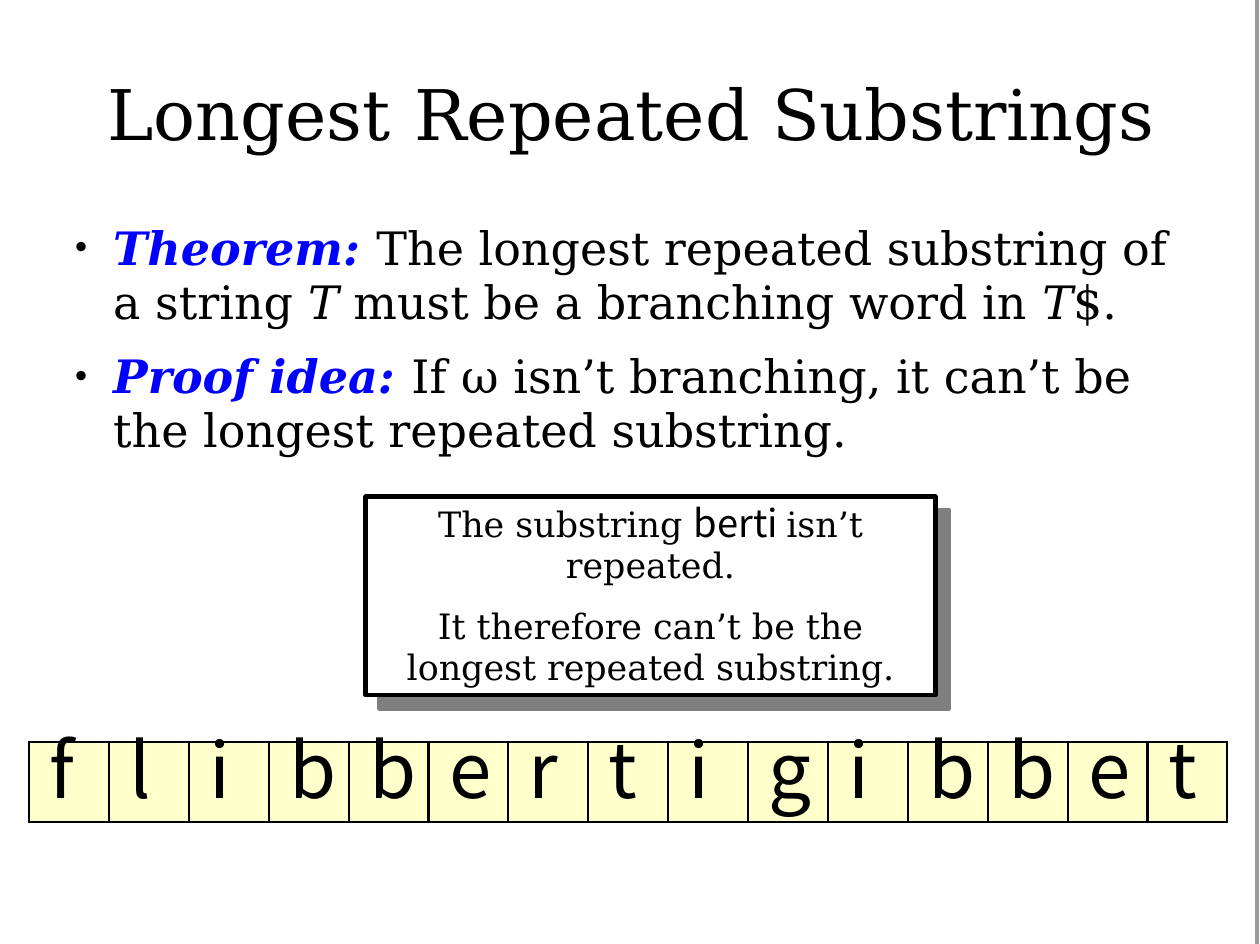
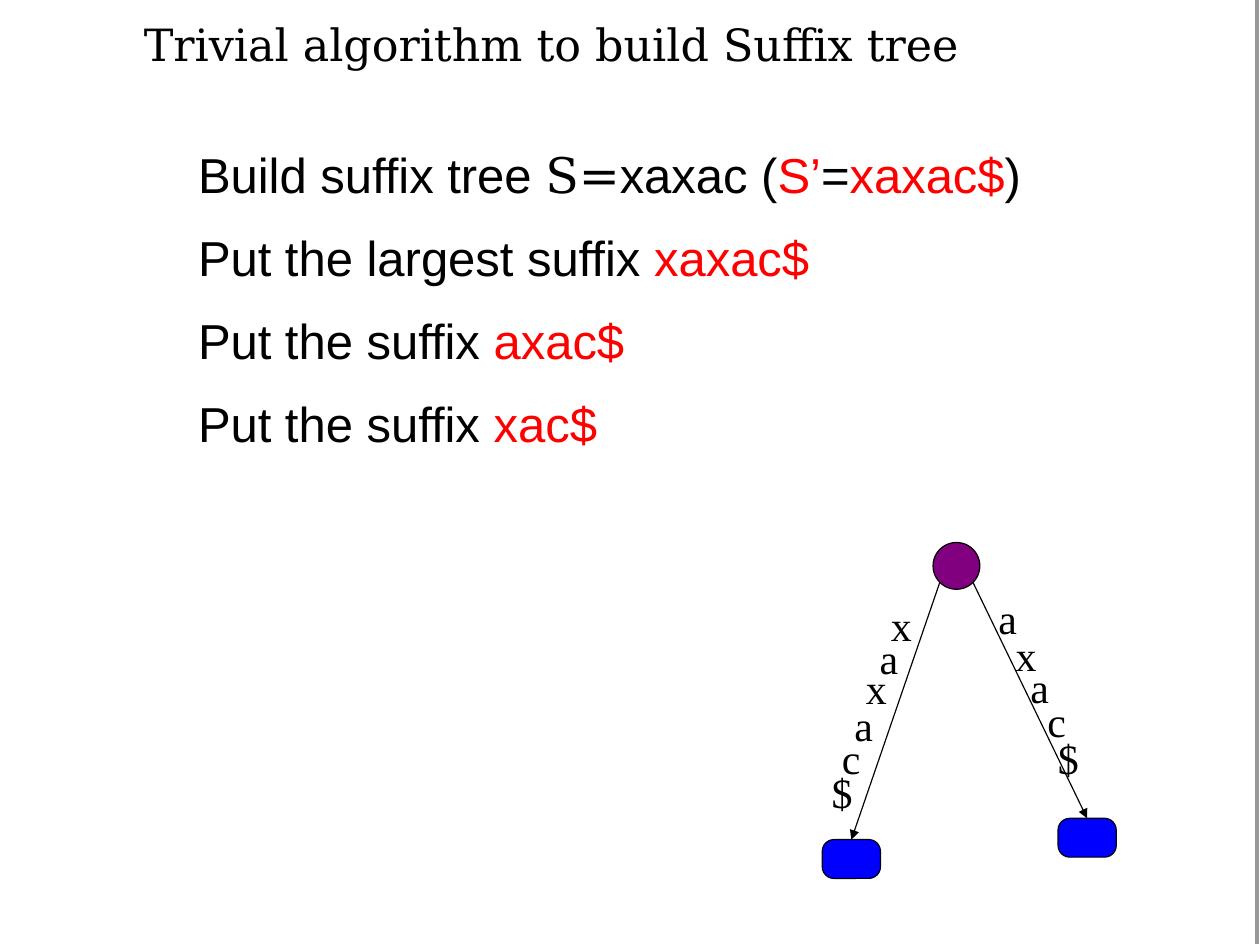
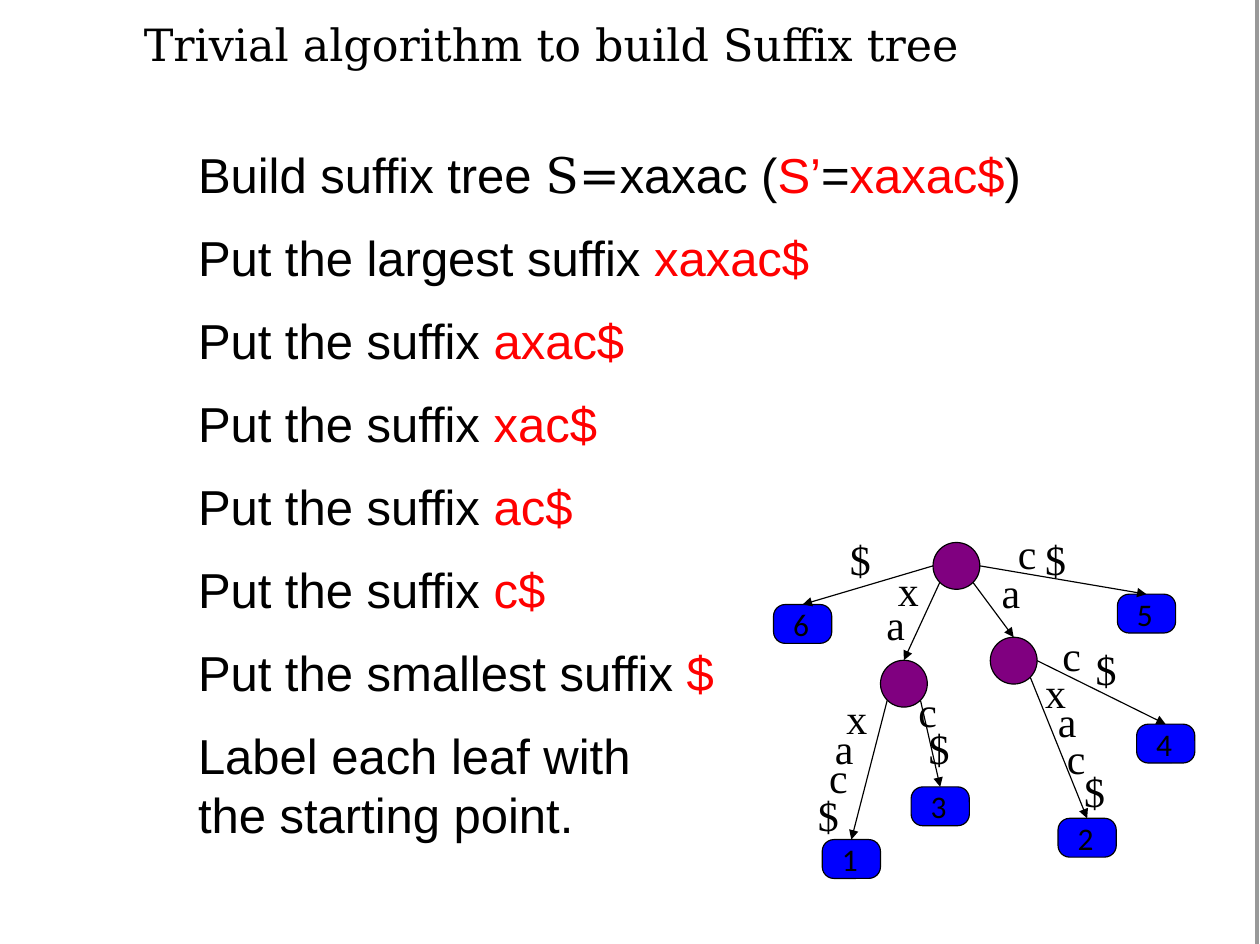
from lxml.etree import SubElement
from pptx import Presentation
from pptx.dml.color import RGBColor
from pptx.enum.shapes import MSO_CONNECTOR, MSO_SHAPE
from pptx.enum.text import MSO_ANCHOR, MSO_AUTO_SIZE, PP_ALIGN
from pptx.oxml.ns import qn
from pptx.util import Pt

SLIDE_W, SLIDE_H = 794, 594.7
BLACK, WHITE, GREY, EDGE_GREY = "000000", "FFFFFF", "7F7F7F", "999999"
RED, BLUE, PURPLE, CREAM = "FF0000", "0000FF", "800080", "FFFFCC"
SERIF, SANS, MONO = "DejaVu Serif", "Arial", "Noto Sans CJK SC"
THICK, THIN = 2.89, 0.75

# Run styles: font, size, colour, bold, italic
STYLES = {
    "big title": (SERIF, 44, BLACK, False, False),
    "title": (SERIF, 28, BLACK, False, False),
    "body": (SERIF, 29, BLACK, False, False),
    "variable": (SERIF, 29, BLACK, False, True),
    "keyword": (SERIF, 29, BLUE, True, True),
    "note": (SERIF, 22, BLACK, False, False),
    "word": (MONO, 24, BLACK, False, False),
    "letter": (MONO, 48, BLACK, False, False),
    "step": (SANS, 30.9, BLACK, False, False),
    "step serif": (SERIF, 30.9, BLACK, False, False),
    "suffix": (SANS, 30.9, RED, False, False),
    "edge label": ("Times New Roman", 26.4, BLACK, False, False),
    "leaf number": ("Calibri", 19.8, BLACK, False, False),
}

REPEATS_TITLE = "Longest\tRepeated Substrings"
THEOREM = [
    [("Theorem: ", "keyword"), ("The longest repeated substring of a string ", "body"),
     ("T ", "variable"), ("must be a branching word in ", "body"),
     ("T", "variable"), ("$.", "body")],
    [("Proof idea: ", "keyword"),
     ("If ω isn’t branching, it can’t be the longest repeated substring.", "body")],
]
CALLOUT = [
    [("The substring ", "note"), ("berti ", "word"), ("isn’t repeated.", "note")],
    [("It therefore can’t be the longest repeated substring.", "note")],
]
WORD = "flibbertigibbet"

TREE_TITLE = "Trivial algorithm to build Suffix tree"
STEPS = [
    [("Build suffix tree ", "step"), ("S=", "step serif"), ("xaxac (", "step"),
     ("S’", "suffix"), ("=", "step"), ("xaxac$", "suffix"), (")", "step")],
    *[[(lead, "step"), (suffix, "suffix")] for lead, suffix in [
        ("Put the largest suffix ", "xaxac$"),
        ("Put the suffix ", "axac$"),
        ("Put the suffix ", "xac$"),
        ("Put the suffix ", "ac$"),
        ("Put the suffix ", "c$"),
        ("Put the smallest suffix ", "$"),
    ]],
    [("Label each leaf with\vthe starting point.", "step")],
]

# Centres of the tree's nodes
INNER_NODES = {"root": (602.7, 356.5), "xa": (569.6, 430.7), "a": (638.8, 416.2)}
LEAVES = {"1": (536.5, 541.2), "2": (685.1, 527.8), "3": (592.5, 508),
          "4": (734.6, 468.5), "5": (722.5, 386.6), "6": (505.8, 393.1)}
NODE_SIZE, LEAF_W, LEAF_H = 29.5, 36.7, 24.5

# Edges: parent, side it leaves from, child, letters, their box corners
EARLY_TREE = [
    ("root", "lower left", "1", "xaxac$",
     [(554.4, 374.4), (547.2, 395.3), (538.6, 414), (531.4, 437), (523.4, 457.9), (517, 479.5)]),
    ("root", "lower right", "2", "axac$",
     [(622.1, 370.1), (632.9, 393.1), (642.2, 413.3), (653, 434.9), (659.5, 457.9)]),
]
FULL_TREE = [
    ("root", "left", "6", "$", [(528.5, 332.6)]),
    ("root", "lower left", "xa", "xa", [(558.7, 352.1), (551.5, 373.7)]),
    ("root", "lower right", "a", "a", [(624.2, 353.5)]),
    ("root", "right", "5", "c$", [(634.3, 329), (651.6, 332.6)]),
    ("xa", "lower left", "1", "xac$",
     [(526.3, 432.7), (519.1, 451.4), (515.5, 470.2), (508.3, 493.9)]),
    ("xa", "lower right", "3", "c$", [(571.7, 428.4), (578.2, 451.4)]),
    ("a", "lower right", "2", "xac$",
     [(651.6, 416.2), (659.5, 434.9), (665.3, 457.9), (676.1, 478.8)]),
    ("a", "right", "4", "c$", [(662.4, 393.1), (683.3, 401.8)]),
]
# Points on a circle of radius 1
SIDES = {"left": (-1, 0), "right": (1, 0),
         "lower left": (-0.71, 0.71), "lower right": (0.71, 0.71)}


def rgb(value):
    return RGBColor.from_string(value)


def add_run(paragraph, text, style):
    font_name, size, colour, bold, italic = STYLES[style]
    for i, line in enumerate(text.split("\v")):
        if i:
            paragraph.add_line_break()
        run = paragraph.add_run()
        run.text = line
        font = run.font
        font.name, font.size, font.bold, font.italic = font_name, Pt(size), bold, italic
        font.color.rgb = rgb(colour)


def write(frame, paragraphs, align=PP_ALIGN.LEFT, insets=(0, 0, 0, 0),
          anchor=MSO_ANCHOR.TOP, gap=0, leading=None):
    """Fill a text frame; insets are left, top, right, bottom."""
    frame.word_wrap = True
    frame.auto_size = MSO_AUTO_SIZE.NONE
    frame.vertical_anchor = anchor
    (frame.margin_left, frame.margin_top,
     frame.margin_right, frame.margin_bottom) = map(Pt, insets)
    for i, runs in enumerate(paragraphs):
        paragraph = frame.add_paragraph() if i else frame.paragraphs[0]
        paragraph.alignment = align
        if i and gap:
            paragraph.space_before = Pt(gap)
        if leading:
            paragraph.line_spacing = Pt(leading)
        for text, style in runs:
            add_run(paragraph, text, style)


def add_text(slide, box, paragraphs, **options):
    frame = slide.shapes.add_textbox(*map(Pt, box)).text_frame
    write(frame, paragraphs, **options)
    return frame


def add_box(slide, kind, box, fill, line, width):
    shape = slide.shapes.add_shape(kind, *map(Pt, box))
    shape.shadow.inherit = False
    shape.fill.solid()
    shape.fill.fore_color.rgb = rgb(fill)
    shape.line.color.rgb = rgb(line)
    shape.line.width = Pt(width)
    return shape


def add_line(slide, start, end, colour, width):
    line = slide.shapes.add_connector(MSO_CONNECTOR.STRAIGHT, *map(Pt, (*start, *end)))
    line.line.color.rgb = rgb(colour)
    line.line.width = Pt(width)
    SubElement(line.element.spPr, qn("a:effectLst"))
    return line


def add_titled_slide(deck, title, box, style):
    slide = deck.slides.add_slide(deck.slide_layouts[5])
    heading = slide.shapes.title
    heading.left, heading.top, heading.width, heading.height = map(Pt, box)
    write(heading.text_frame, [[(title, style)]])
    add_line(slide, (792, 0), (792, SLIDE_H), EDGE_GREY, THICK)
    return slide


def add_bullet(paragraph):
    props = paragraph._p.get_or_add_pPr()
    props.set("marL", str(Pt(28)))
    props.set("indent", str(Pt(-24)))
    SubElement(props, qn("a:buClr")).append(
        props.makeelement(qn("a:srgbClr"), {"val": BLACK}))
    SubElement(props, qn("a:buSzPct"), val="75000")
    SubElement(props, qn("a:buFont"), typeface=SANS)
    SubElement(props, qn("a:buChar"), char="•")


def add_tab_stop(paragraph, position):
    tabs = SubElement(paragraph._p.get_or_add_pPr(), qn("a:tabLst"))
    SubElement(tabs, qn("a:tab"), pos=str(Pt(position)), algn="l")


def border_cell(cell):
    props = cell._tc.get_or_add_tcPr()
    for position, side in enumerate(("a:lnL", "a:lnR", "a:lnT", "a:lnB")):
        line = props.makeelement(qn(side), {"w": str(Pt(1.5))})
        SubElement(SubElement(line, qn("a:solidFill")), qn("a:srgbClr"), val=BLACK)
        props.insert(position, line)


def add_letter_row(slide, word, left, top, size):
    table = slide.shapes.add_table(
        1, len(word), Pt(left), Pt(top), Pt(size * len(word)), Pt(size)).table
    table.first_row = table.horz_banding = False
    table.rows[0].height = Pt(size)
    for i, letter in enumerate(word):
        table.columns[i].width = Pt(size)
        cell = table.cell(0, i)
        cell.margin_left = Pt(13)
        cell.margin_top = cell.margin_right = cell.margin_bottom = 0
        cell.fill.solid()
        cell.fill.fore_color.rgb = rgb(CREAM)
        border_cell(cell)
        paragraph = cell.text_frame.paragraphs[0]
        paragraph.line_spacing = Pt(49.4)
        add_run(paragraph, letter, "letter")


def add_node(slide, name, numbered):
    """Draw an inner node or a leaf around its centre."""
    is_leaf = name in LEAVES
    x, y = LEAVES[name] if is_leaf else INNER_NODES[name]
    width, height = (LEAF_W, LEAF_H) if is_leaf else (NODE_SIZE, NODE_SIZE)
    kind, fill = ((MSO_SHAPE.ROUNDED_RECTANGLE, BLUE) if is_leaf
                  else (MSO_SHAPE.OVAL, PURPLE))
    node = add_box(slide, kind, (x - width / 2, y - height / 2, width, height),
                   fill, BLACK, THIN)
    if is_leaf:
        node.adjustments[0] = 0.3
        if numbered:
            write(node.text_frame, [[(name, "leaf number")]], align=PP_ALIGN.CENTER,
                  insets=(0, 0, 2, 0), anchor=MSO_ANCHOR.MIDDLE)
    return node


def add_tree(slide, edges, numbered):
    nodes = {"root": add_node(slide, "root", numbered)}
    for _, _, child, _, _ in edges:
        nodes[child] = add_node(slide, child, numbered)
    for parent, side, child, letters, corners in edges:
        start = [centre + NODE_SIZE / 2 * step
                 for centre, step in zip(INNER_NODES[parent], SIDES[side])]
        arrow = add_line(slide, start, start, BLACK, THIN)
        arrow.end_connect(nodes[child], 0)
        SubElement(arrow.line._get_or_add_ln(), qn("a:tailEnd"), type="triangle")
        for letter, corner in zip(letters, corners):
            add_text(slide, (*corner, 33, 39.6), [[(letter, "edge label")]],
                     insets=(7.2, 3.6, 7.2, 3.6))


def add_repeats_slide(deck):
    slide = add_titled_slide(deck, REPEATS_TITLE, (67.5, 44.5, 690, 55), "big title")
    add_tab_stop(slide.shapes.title.text_frame.paragraphs[0], 193.7)
    add_letter_row(slide, WORD, 18.3, 467.6, 50.35)
    left, top, width, height = 230.4, 313, 359, 125
    add_box(slide, MSO_SHAPE.RECTANGLE, (left + 8.6, top + 8.3, width, height),
            GREY, GREY, THICK)
    callout = add_box(slide, MSO_SHAPE.RECTANGLE, (left, top, width, height),
                      WHITE, BLACK, THICK)
    write(callout.text_frame, CALLOUT, align=PP_ALIGN.CENTER,
          insets=(20, 5, 20, 0), gap=12.8, leading=25.5)
    theorem = add_text(slide, (43.3, 136, 708, 153), THEOREM,
                       insets=(0, 3, 0, 0), gap=13, leading=34)
    for paragraph in theorem.paragraphs:
        add_bullet(paragraph)


def add_tree_slide(deck, steps, edges, numbered):
    slide = add_titled_slide(deck, TREE_TITLE, (90.7, 11, 685, 99), "title")
    add_text(slide, (124.8, 91, 651, 487), steps, gap=15.25)
    add_tree(slide, edges, numbered)


def main():
    deck = Presentation()
    deck.slide_width, deck.slide_height = Pt(SLIDE_W), Pt(SLIDE_H)
    add_repeats_slide(deck)
    add_tree_slide(deck, STEPS[:4], EARLY_TREE, numbered=False)
    add_tree_slide(deck, STEPS, FULL_TREE, numbered=True)
    deck.save("out.pptx")


if __name__ == "__main__":
    main()
